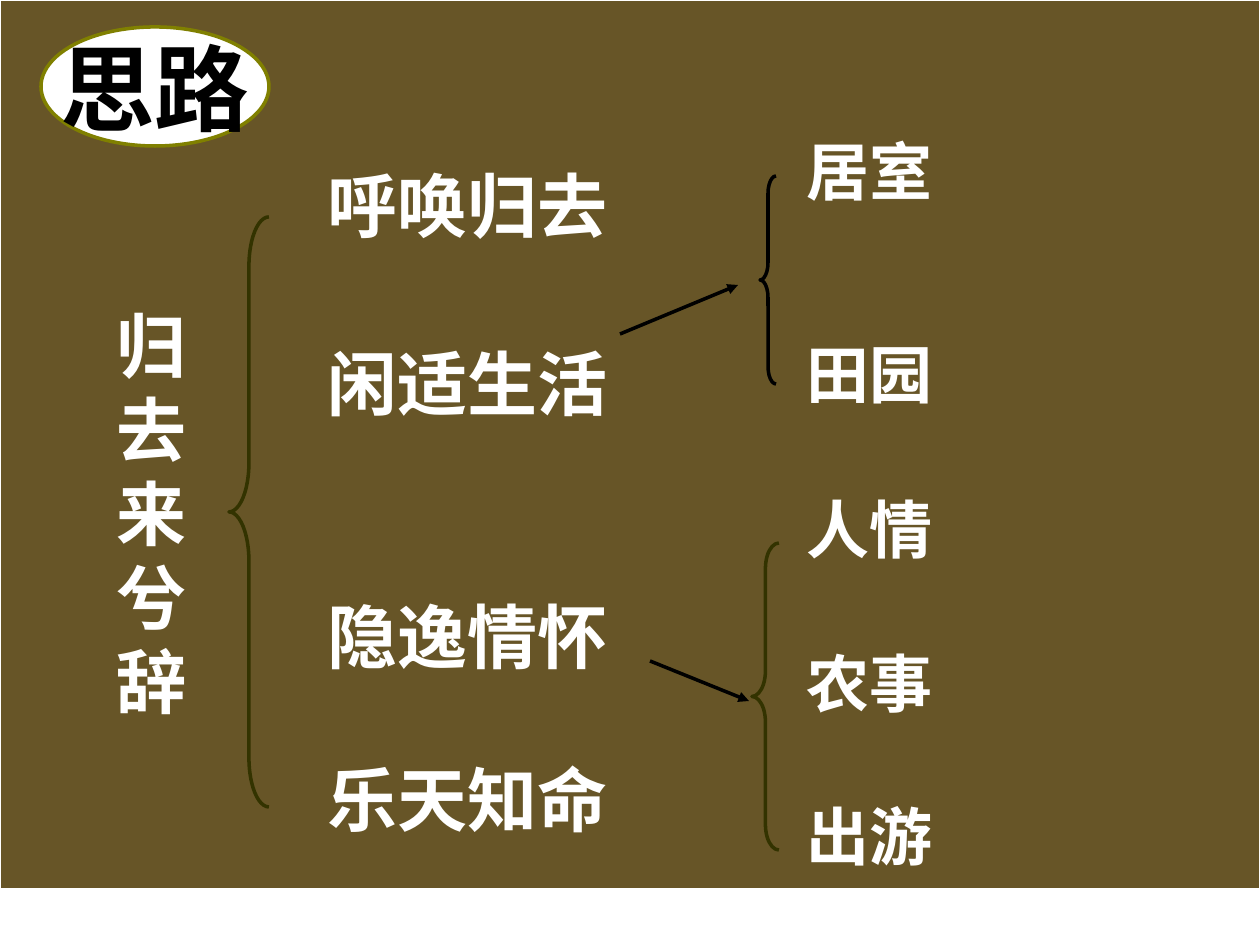
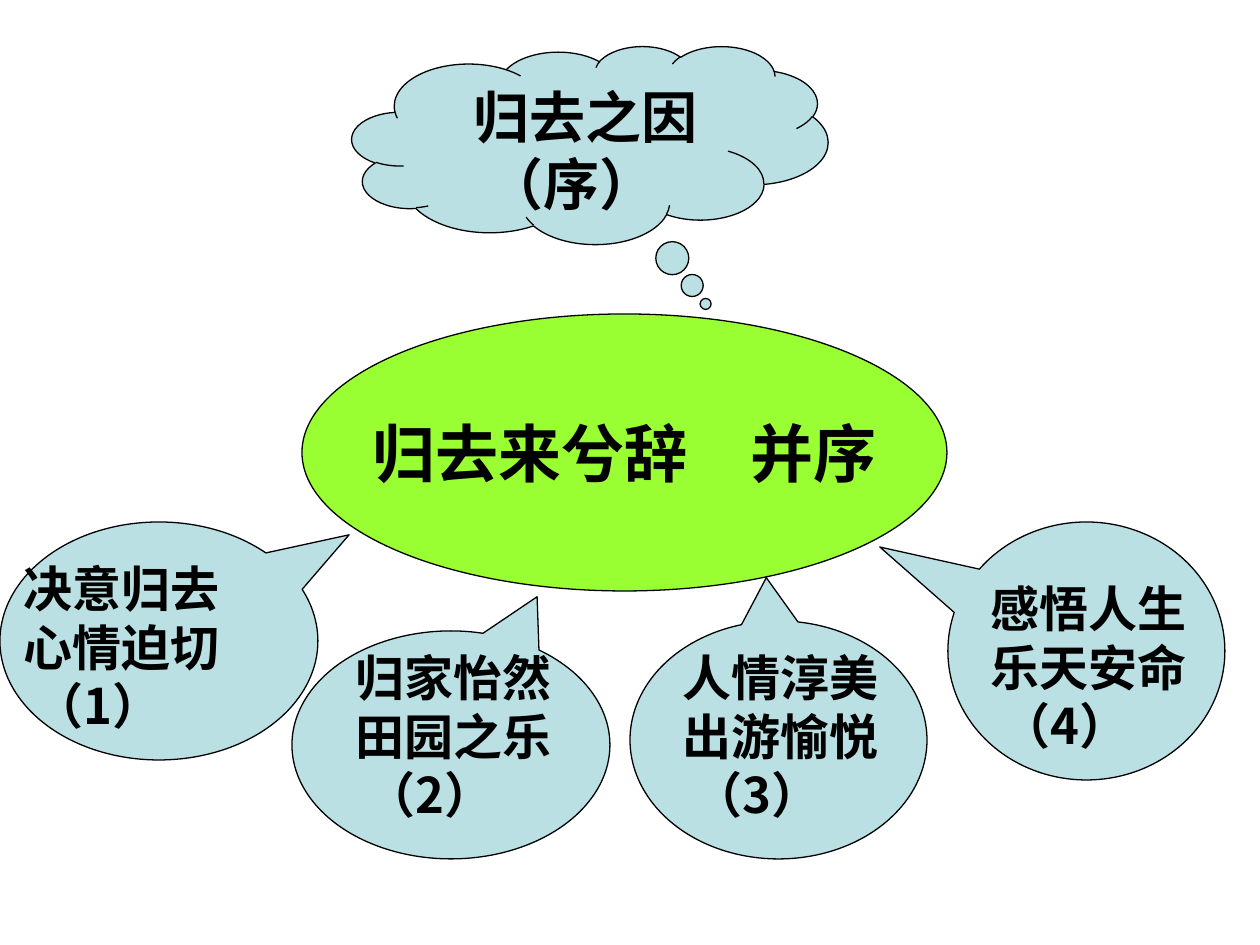
from lxml import etree
from pptx import Presentation
from pptx import util as u
from pptx.dml.color import RGBColor
from pptx.enum import shapes, text
from pptx.oxml.ns import qn

PX = 914400 / 126
LATIN, CJK = "Arial", "Noto Sans CJK SC"
WHITE, BLACK, BROWN, OLIVE, MOSS = "FFFFFF", "000000", "675527", "808000", "333300"
LIME, PALE_BLUE = "99FF33", "BBE0E3"
KIND = shapes.MSO_SHAPE

# Slide 1: boxes are left, top, width, height in px
PANEL = (0, 0, 1260, 889)
BADGE = ("思路", (41, 27, 228, 119))
POEM = ("归去来兮辞", (104, 296, 111, 433))
STAGE_LEFT, STAGE_HEIGHT = 315, 97
STAGES = [("呼唤归去", 156, 507), ("闲适生活", 334, 507),
          ("隐逸情怀", 587, 466), ("乐天知命", 750, 466)]
DETAIL_LEFT, DETAIL_HEIGHT = 794, 88
DETAILS = [("居室", 126, 297), ("田园", 329, 318), ("人情", 484, 338),
           ("农事", 638, 358), ("出游", 791, 358)]
BRACES = [((229, 217, 40, 590), MOSS), ((760, 176, 16, 208), BLACK),
          ((752, 543, 27, 307), MOSS)]
ARROWS = [((620, 334), (738, 285)), ((650, 661), (749, 701))]

# Slide 2
CLOUD = ((352, 46, 476, 198), (0.243, 0.803))
REASON = (["归去之因", "（序）"], (461, 76, 265, 147), 14)
CENTRE = ("归去来兮辞　并序", (302, 314, 645, 277))
NUMBER_INDENT = 11
# lines, callout box, pointer, text left and top
PARTS = [
    (["决意归去", "心情迫切", "（1）"], (0, 522, 318, 238), (0.598, -0.446), (11, 552)),
    (["归家怡然", "田园之乐", "（2）"], (292, 631, 318, 228), (0.271, -0.65), (343, 641)),
    (["人情淳美", "出游愉悦", "（3）"], (630, 621, 297, 238), (-0.041, -0.682), (670, 641)),
    (["感悟人生", "乐天安命", "（4）"], (948, 522, 277, 258), (-0.746, -0.403), (978, 572)),
]
PART_TEXT_SIZE = (236, 189)


def emu(*lengths):
    return [u.Emu(round(length * PX)) for length in lengths]


def rgb(color):
    return RGBColor.from_string(color)


def write(shape, lines, size, color, font=LATIN, wrap=True, align=None, last_indent=0):
    """Fill a shape with bold lines, the last one optionally indented."""
    frame = shape.text_frame
    frame.text = "\n".join(lines)
    frame.word_wrap = wrap
    for paragraph in frame.paragraphs:
        paragraph.alignment = align
        for run in paragraph.runs:
            run.font.name = font
            run.font.size = u.Pt(size)
            run.font.bold = True
            run.font.color.rgb = rgb(color)
            east_asian = etree.SubElement(run.font._element, qn("a:ea"))
            east_asian.set("typeface", CJK)
    if last_indent:
        properties = frame.paragraphs[-1]._p.get_or_add_pPr()
        properties.set("marL", str(emu(last_indent)[0]))
        properties.set("indent", "0")


def add_label(slide, lines, box, size, color, **style):
    write(slide.shapes.add_textbox(*emu(*box)), lines, size, color, **style)


def add_figure(slide, kind, box, fill, line, width, adjustments=()):
    figure = slide.shapes.add_shape(kind, *emu(*box))
    figure.shadow.inherit = False
    if fill:
        figure.fill.solid()
        figure.fill.fore_color.rgb = rgb(fill)
    else:
        figure.fill.background()
    figure.line.color.rgb = rgb(line)
    figure.line.width = u.Pt(width)
    for index, value in enumerate(adjustments):
        figure.adjustments[index] = value
    return figure


def add_oval(slide, words, box, fill, line, width, size, font):
    oval = add_figure(slide, KIND.OVAL, box, fill, line, width)
    oval.text_frame.vertical_anchor = text.MSO_ANCHOR.MIDDLE
    write(oval, [words], size, BLACK, font=font, wrap=False, align=text.PP_ALIGN.CENTER)


def add_arrow(slide, start, end):
    arrow = slide.shapes.add_connector(
        shapes.MSO_CONNECTOR.STRAIGHT, *emu(*start, *end))
    arrow.line.color.rgb = rgb(BLACK)
    arrow.line.width = u.Pt(2)
    etree.SubElement(arrow.line._get_or_add_ln(), qn("a:tailEnd")).set("type", "triangle")
    etree.SubElement(arrow._element.spPr, qn("a:effectLst"))


def build_outline(slide):
    add_figure(slide, KIND.RECTANGLE, PANEL, BROWN, WHITE, 1.5)
    for stage, top, width in STAGES:
        add_label(slide, [stage], (STAGE_LEFT, top, width, STAGE_HEIGHT), 40, WHITE)
    for detail, top, width in DETAILS:
        add_label(slide, [detail], (DETAIL_LEFT, top, width, DETAIL_HEIGHT), 36, WHITE)
    for box, color in BRACES:
        curl = box[3] / 12 / box[2]
        add_figure(slide, KIND.LEFT_BRACE, box, None, color, 2, (curl, 0.5))
    add_oval(slide, *BADGE, WHITE, OLIVE, 2, 54, CJK)
    for start, end in ARROWS:
        add_arrow(slide, start, end)
    poem, box = POEM
    add_label(slide, list(poem), box, 40, WHITE)


def build_structure(slide):
    box, pointer = CLOUD
    add_figure(slide, KIND.CLOUD_CALLOUT, box, PALE_BLUE, BLACK, 0.75, pointer)
    lines, box, indent = REASON
    add_label(slide, lines, box, 32, BLACK, last_indent=indent)
    add_oval(slide, *CENTRE, LIME, BLACK, 0.75, 36, LATIN)
    for lines, box, pointer, corner in PARTS:
        add_figure(slide, KIND.OVAL_CALLOUT, box, PALE_BLUE, BLACK, 0.75, pointer)
        add_label(slide, lines, corner + PART_TEXT_SIZE, 28, BLACK, font=CJK,
                  last_indent=NUMBER_INDENT)


def main():
    deck = Presentation()
    deck.slide_width, deck.slide_height = emu(1260, 945)
    for build in (build_outline, build_structure):
        build(deck.slides.add_slide(deck.slide_layouts[6]))
    deck.save("out.pptx")


if __name__ == "__main__":
    main()
